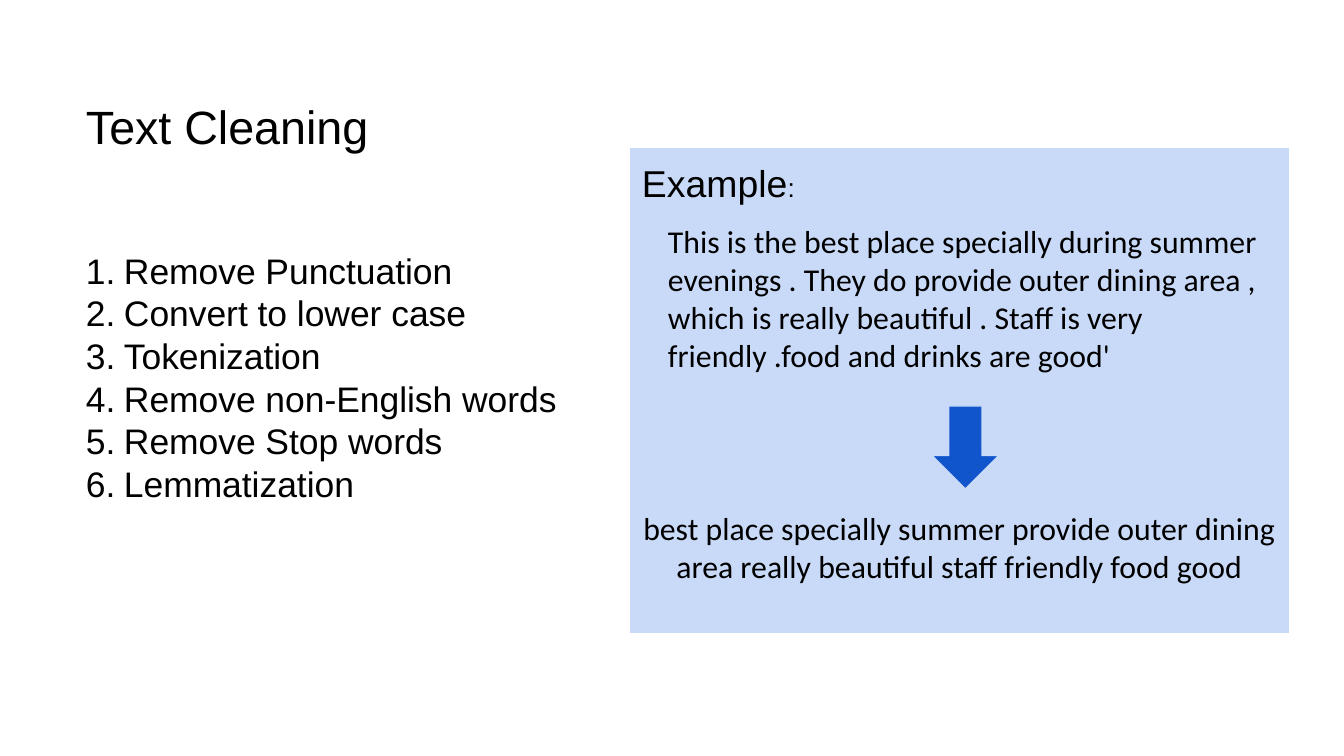
from dataclasses import dataclass

from lxml.etree import SubElement
from pptx import Presentation
from pptx.dml.color import RGBColor
from pptx.enum.shapes import MSO_SHAPE
from pptx.enum.text import MSO_ANCHOR, PP_ALIGN
from pptx.oxml.ns import qn
from pptx.util import Emu, Pt

EMU_PER_PX = 914400 / 134.4
STEPS = [
    "Remove Punctuation",
    "Convert to lower case",
    "Tokenization",
    "Remove non-English words",
    "Remove Stop words",
    "Lemmatization",
]
RAW_REVIEW = (
    "This is the best place specially during summer evenings . "
    "They do provide outer dining area , which is really beautiful . "
    "Staff is very friendly .food and drinks are good'"
)
CLEAN_REVIEW = (
    "best place specially summer provide outer dining area "
    "really beautiful staff friendly food good"
)


@dataclass(frozen=True)
class Theme:
    text: str = "000000"
    panel: str = "C9DAF8"
    panel_line: str = "FFFFFF"
    arrow: str = "1155CC"
    heading_font: str = "Arial"
    review_font: str = "Calibri"
    title_size: int = 25
    step_size: int = 19
    step_spacing: float = 22.8
    review_size: int = 17
    example_size: int = 20
    colon_size: int = 14
    line_width: float = 0.75


THEME = Theme()


def px(length):
    return Emu(round(length * EMU_PER_PX))


def color(value):
    return RGBColor.from_string(value)


def add_run(paragraph, text, font, size):
    run = paragraph.add_run()
    run.text = text
    run.font.name = font
    run.font.size = Pt(size)
    run.font.color.rgb = color(THEME.text)


def set_frame(text_frame, horizontal=9, vertical=5):
    text_frame.word_wrap = True
    text_frame.margin_left = text_frame.margin_right = px(horizontal)
    text_frame.margin_top = text_frame.margin_bottom = px(vertical)


def add_title(slide, text, box):
    title = slide.shapes.title
    title.left, title.top, title.width, title.height = map(px, box)
    set_frame(title.text_frame)
    title.text_frame.vertical_anchor = MSO_ANCHOR.MIDDLE
    paragraph = title.text_frame.paragraphs[0]
    paragraph.alignment = PP_ALIGN.LEFT
    paragraph.line_spacing = 0.9
    add_run(paragraph, text, THEME.heading_font, THEME.title_size)


def add_text_box(slide, box, horizontal=9, vertical=5):
    text_box = slide.shapes.add_textbox(*map(px, box))
    set_frame(text_box.text_frame, horizontal, vertical)
    return text_box.text_frame


def number_paragraph(paragraph, indent):
    properties = paragraph._p.get_or_add_pPr()
    properties.set("marL", str(px(indent)))
    properties.set("indent", str(-px(indent)))
    SubElement(properties, qn("a:buFont"), typeface=THEME.heading_font)
    SubElement(properties, qn("a:buAutoNum"), type="arabicPeriod")


def add_numbered_list(slide, items, box):
    text_frame = add_text_box(slide, box)
    for index, item in enumerate(items):
        paragraph = text_frame.add_paragraph() if index else text_frame.paragraphs[0]
        paragraph.line_spacing = Pt(THEME.step_spacing)
        number_paragraph(paragraph, 38)
        add_run(paragraph, item, THEME.heading_font, THEME.step_size)


def add_review(slide, text, box, alignment):
    paragraph = add_text_box(slide, box).paragraphs[0]
    paragraph.alignment = alignment
    add_run(paragraph, text, THEME.review_font, THEME.review_size)


def add_example_heading(slide, box):
    paragraph = add_text_box(slide, box, 13, 13).paragraphs[0]
    add_run(paragraph, "Example", THEME.heading_font, THEME.example_size)
    add_run(paragraph, ":", THEME.heading_font, THEME.colon_size)


def add_filled_shape(slide, kind, box, fill, line):
    shape = slide.shapes.add_shape(kind, *map(px, box))
    shape.shadow.inherit = False
    shape.fill.solid()
    shape.fill.fore_color.rgb = color(fill)
    shape.line.color.rgb = color(line)
    shape.line.width = Pt(THEME.line_width)


def main():
    presentation = Presentation()
    presentation.slide_width, presentation.slide_height = px(1344), px(756)
    slide = presentation.slides.add_slide(presentation.slide_layouts[5])

    add_title(slide, "Text Cleaning", (77, 56, 1158, 147))
    add_numbered_list(slide, STEPS, (77, 244, 495, 308))
    add_filled_shape(slide, MSO_SHAPE.RECTANGLE, (629, 147, 661, 487),
                     THEME.panel, THEME.panel_line)
    add_review(slide, RAW_REVIEW, (659, 217, 672, 176), PP_ALIGN.LEFT)
    add_review(slide, CLEAN_REVIEW, (629, 504, 661, 116), PP_ALIGN.CENTER)
    add_example_heading(slide, (629, 147, 203, 73))
    add_filled_shape(slide, MSO_SHAPE.DOWN_ARROW, (932, 406, 67, 83),
                     THEME.arrow, THEME.panel)

    presentation.save("out.pptx")


if __name__ == "__main__":
    main()
